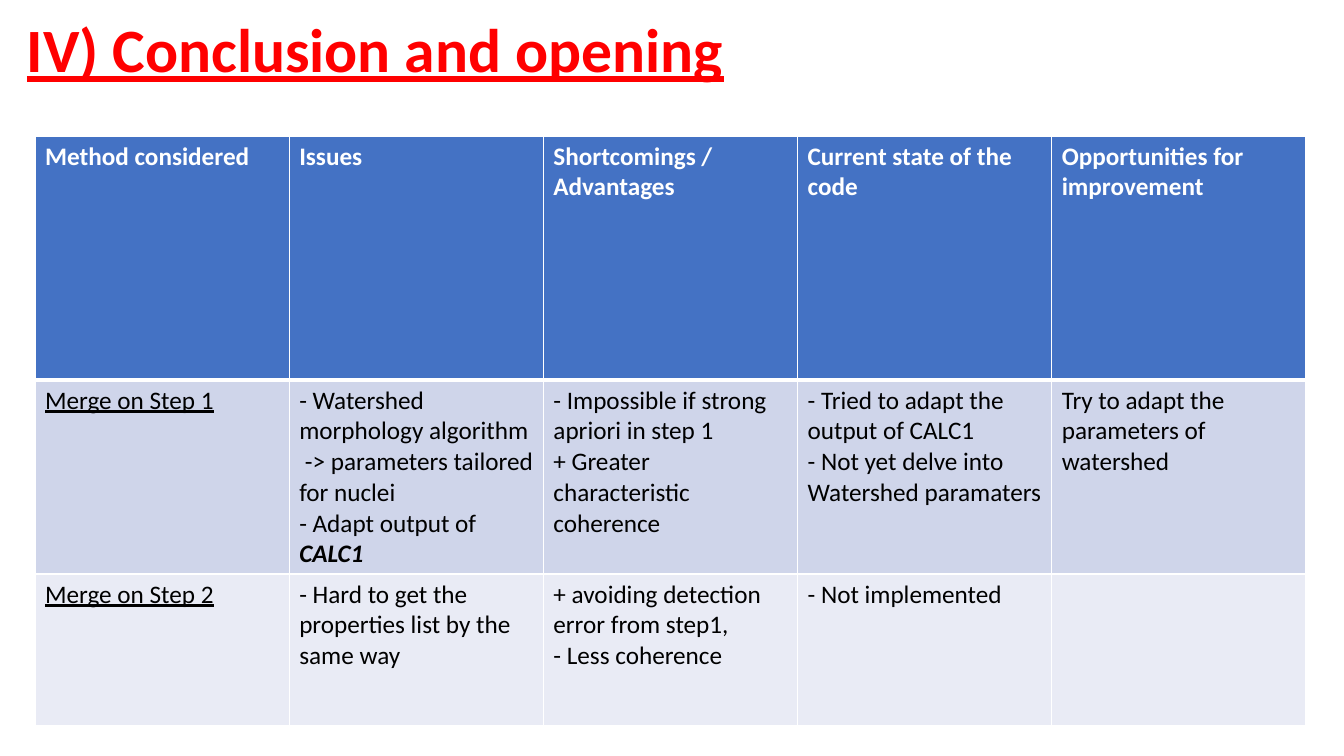
from lxml import etree
from pptx import Presentation
from pptx import util as u
from pptx.dml.color import RGBColor
from pptx.enum import text
from pptx.oxml.ns import qn

SLIDE_W, SLIDE_H = 1344, 756
PX = u.Inches(13.3333) / SLIDE_W
FONT = "Calibri"
RED = RGBColor(0xFF, 0x00, 0x00)
BLUE = RGBColor(0x44, 0x72, 0xC4)
BAND_DARK = RGBColor(0xCF, 0xD5, 0xEA)
BAND_LIGHT = RGBColor(0xE9, 0xEB, 0xF5)
WHITE = RGBColor(0xFF, 0xFF, 0xFF)
BLACK = RGBColor(0x00, 0x00, 0x00)

ROW_HEIGHTS = [244, 194, 152]
ROW_FILLS = [BLUE, BAND_DARK, BAND_LIGHT]
EMPHASIS = "CALC1"
EMPHASIS_LINE = "- Adapt output of "

# Each cell is a list of paragraphs
METHODS = [
    [["Method considered"], ["Issues"], ["Shortcomings /", "Advantages"],
     ["Current state of the code"], ["Opportunities for improvement"]],
    [["Merge on Step 1"],
     ["- Watershed morphology algorithm\v -> parameters tailored for nuclei",
      EMPHASIS_LINE],
     ["- Impossible if strong apriori in step 1",
      "+ Greater characteristic coherence"],
     ["- Tried to adapt the output of CALC1",
      "- Not yet delve into Watershed paramaters"],
     ["Try to adapt the parameters of watershed"]],
    [["Merge on Step 2"],
     ["- Hard to get the properties list by the same way"],
     ["+ avoiding detection error from step1,", "- Less coherence"],
     ["- Not implemented"],
     []],
]


def px(n):
    return u.Emu(round(n * PX))


def set_font(font, size, color, bold=False, underline=False):
    font.name, font.size = FONT, u.Pt(size)
    font.color.rgb = color
    font.bold, font.underline = bold, underline


def set_borders(cell, top, bottom):
    """Draw white borders; top and bottom widths are in points."""
    tcPr = cell._tc.get_or_add_tcPr()
    sides = [("L", 1), ("R", 1), ("T", top), ("B", bottom)]
    for i, (side, width) in enumerate(sides):
        ln = etree.Element(qn("a:ln" + side), w=str(u.Pt(width)))
        fill = etree.SubElement(ln, qn("a:solidFill"))
        etree.SubElement(fill, qn("a:srgbClr"), val=str(WHITE))
        tcPr.insert(i, ln)


def add_title(s, x, y, w, h):
    tf = s.shapes.add_textbox(px(x), px(y), px(w), px(h)).text_frame
    tf.word_wrap = True
    tf.vertical_anchor = text.MSO_ANCHOR.MIDDLE
    p = tf.paragraphs[0]
    p.text = "IV) Conclusion and opening"
    p.line_spacing = 0.9
    set_font(p.font, 44, RED, bold=True, underline=True)


def fill_cell(cell, lines, row, col):
    header = row == 0
    cell.fill.solid()
    cell.fill.fore_color.rgb = ROW_FILLS[row]
    set_borders(cell, top=3 if row == 1 else 1, bottom=3 if header else 1)
    tf = cell.text_frame
    for i, line in enumerate(lines):
        p = tf.paragraphs[0] if i == 0 else tf.add_paragraph()
        p.text = line
        set_font(p.font, 18, WHITE if header else BLACK, bold=header,
                 underline=col == 0 and not header)
        if line == EMPHASIS_LINE:
            r = p.add_run()
            r.text = EMPHASIS
            r.font.bold = r.font.italic = True


def add_methods_table(s, x, y, w):
    rows, cols = len(METHODS), len(METHODS[0])
    table = s.shapes.add_table(rows, cols, px(x), px(y), px(w),
                               px(sum(ROW_HEIGHTS))).table
    for column in table.columns:
        column.width = px(w / cols)
    for row, cells in enumerate(METHODS):
        table.rows[row].height = px(ROW_HEIGHTS[row])
        for col, lines in enumerate(cells):
            fill_cell(table.cell(row, col), lines, row, col)


def main():
    prs = Presentation()
    prs.slide_width, prs.slide_height = px(SLIDE_W), px(SLIDE_H)
    s = prs.slides.add_slide(prs.slide_layouts[6])
    add_title(s, 17, 14, 1159, 78)
    add_methods_table(s, 35, 136, 1271)
    prs.save("out.pptx")


if __name__ == "__main__":
    main()
